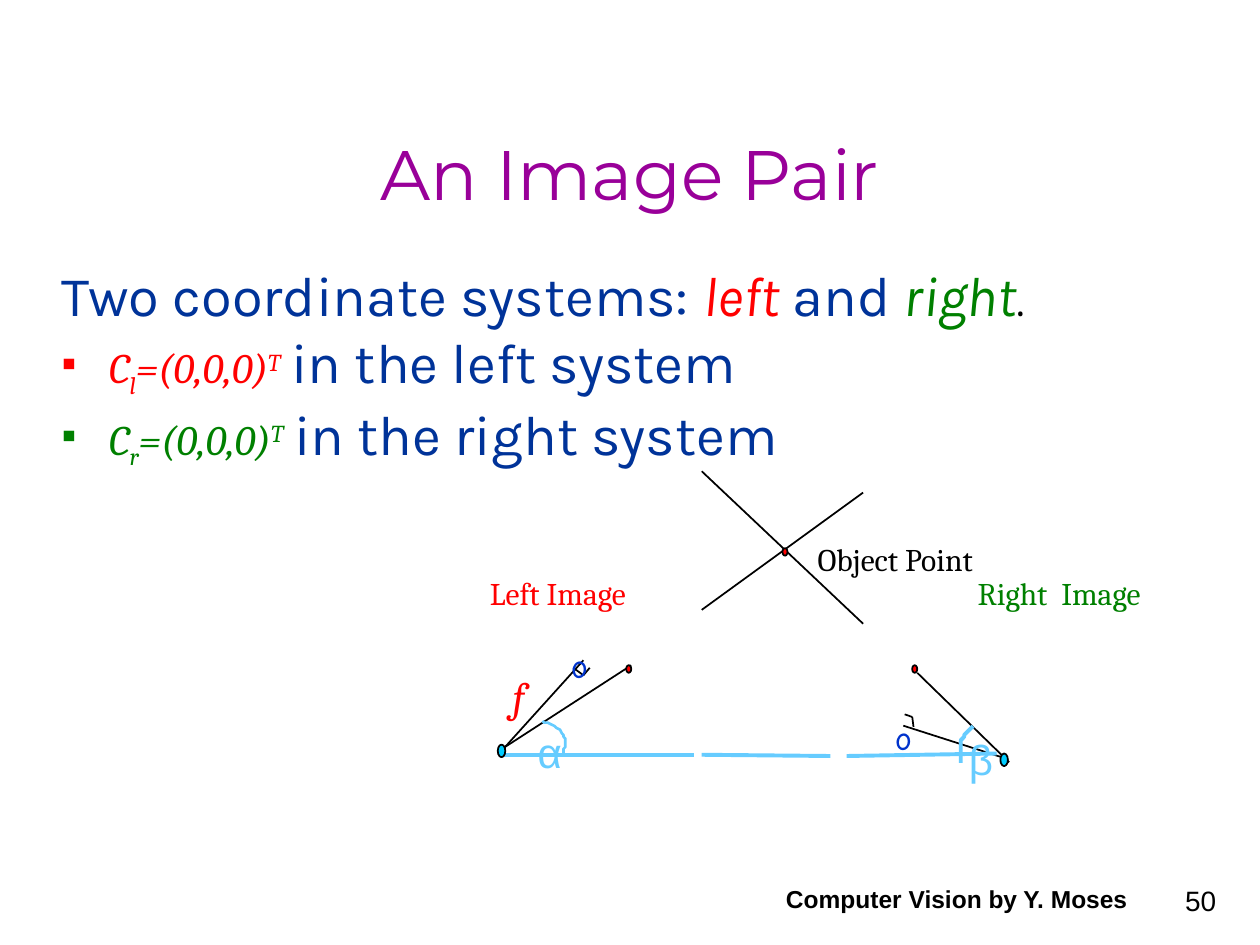
from lxml.etree import SubElement
from pptx import Presentation
from pptx.dml.color import RGBColor
from pptx.enum.shapes import MSO_CONNECTOR, MSO_SHAPE
from pptx.enum.text import MSO_ANCHOR, MSO_AUTO_SIZE, PP_ALIGN
from pptx.oxml.ns import qn
from pptx.util import Pt

BLACK = RGBColor(0, 0, 0)
RED = RGBColor(0xFF, 0, 0)
GREEN = RGBColor(0, 0x80, 0)
PURPLE = RGBColor(0x99, 0, 0x99)
NAVY = RGBColor(0, 0x33, 0x99)
BLUE = RGBColor(0, 0x33, 0xCC)
SKY = RGBColor(0x66, 0xCC, 0xFF)
CYAN = RGBColor(0, 0xCC, 0xFF)

LEFT, CENTER, RIGHT = PP_ALIGN.LEFT, PP_ALIGN.CENTER, PP_ALIGN.RIGHT

# text, box, font, size, colour, alignment, bold
BANNERS = [
    ("50", (552.2, 491.8, 149.8, 36), "Arial", 16, BLACK, RIGHT, False),
    ("Computer Vision by Y. Moses", (432.7, 489.6, 228.2, 36), "Arial", 14, BLACK, CENTER, True),
    ("An Image Pair", (54, 36, 612, 90), "Montserrat", 40, PURPLE, CENTER, False),
]

# text, box, font, size, colour, alignment, bold, italic
LABELS = [
    ("Right  Image", (551.5, 324.7, 108.7, 28.8), "Cambria", 18, GREEN, LEFT, False, False),
    ("Object Point", (460.1, 305.3, 105.1, 28.8), "Cambria", 18, BLACK, LEFT, False, False),
    ("Left Image", (272.9, 324.7, 94.3, 28.8), "Cambria", 18, RED, LEFT, False, False),
    ("α", (300.2, 411.8, 29.5, 36), "Arial", 24, SKY, LEFT, False, False),
    ("β", (546.5, 415.4, 27.4, 36), "Arial", 24, SKY, LEFT, False, False),
    ("O", (318.2, 370.1, 25.9, 23.8), "Comic Neue", 14, BLUE, CENTER, True, False),
    ("O", (503.3, 411.1, 25.9, 23.8), "Comic Neue", 14, BLUE, CENTER, True, False),
    ("f", (285.8, 379.4, 51.1, 36), "Cambria", 24, RED, LEFT, False, True),
]

BODY_BOX = (28.1, 145.4, 643.7, 328.3)
INTRO = [  # text, font, size, colour, italic
    ("Two coordinate systems: ", "Karla", 32, NAVY, False),
    ("left", "Karla", 32, RED, True),
    (" and ", "Karla", 32, NAVY, False),
    ("right", "Karla", 32, GREEN, True),
    (".", "Cambria", 24, BLACK, False),
]
SYSTEMS = [("l", "left", RED), ("r", "right", GREEN)]

RAYS = [
    ((287.3, 427.7), (360.7, 380.2)),
    ((401, 348.5), (493.2, 281.5)),
    ((401, 269.3), (493.2, 356.4)),
    ((576.7, 435.6), (524.2, 384.5)),
]
AXES = [
    ((286.6, 429.1), (333.4, 377.3)),
    ((516.2, 414.7), (572.4, 432.7)),
]
RIGHT_ANGLES = [
    ((517, 408.2), (521.3, 409.7), (522, 415.4)),
    ((327.6, 381.6), (333.4, 385.9), (337, 381.6)),
]
BASELINE = [
    ((288, 431.3), (396.7, 431.3)),
    ((401, 431.3), (474.5, 432)),
    ((483.8, 432), (569.5, 430.6)),
]
# Bezier points: start, then two controls and an end for each segment; line width
ANGLE_ARCS = [
    ([(309.6, 411.8), (314.6, 414), (319.7, 416.2), (321.8, 419.8),
      (323.3, 422.6), (322.6, 427), (321.8, 431.3)], 1.5),
    ([(555.8, 415.4), (553, 418.3), (550.8, 420.5), (549.4, 423.4),
      (548.6, 427), (549.4, 431.3), (549.4, 435.6)], 2.25),
]
# centres, size, colour
DOTS = [
    ([(359.3, 382.3), (522.7, 382.3), (448.6, 315.4)], (2.9, 4.3), RED),
    ([(286.6, 429.1), (573.8, 434.2)], (4.3, 7.2), CYAN),
]


def add_run(p, text, font, size, color, italic=False, bold=False, baseline=0):
    r = p.add_run()
    r.text = text
    r.font.name, r.font.size = font, Pt(size)
    r.font.italic, r.font.bold = italic, bold
    r.font.color.rgb = color
    if baseline:
        r.font._element.set("baseline", str(baseline * 1000))


def add_box(s, box, wrap=True):
    tf = s.shapes.add_textbox(*map(Pt, box)).text_frame
    tf.word_wrap = wrap
    return tf


def add_line(s, start, end, color=BLACK, width=1):
    line = s.shapes.add_connector(MSO_CONNECTOR.STRAIGHT, *map(Pt, start + end))
    line.line.color.rgb = color
    line.line.width = Pt(width)
    SubElement(line._element.spPr, qn("a:effectLst"))


def bezier(p0, p1, p2, p3, steps=8):
    """Points along a cubic curve, without its start."""
    for i in range(1, steps + 1):
        t = i / steps
        u = 1 - t
        yield tuple(u**3 * a + 3 * u * u * t * b + 3 * u * t * t * c + t**3 * d
                    for a, b, c, d in zip(p0, p1, p2, p3))


def add_arc(s, points, width):
    builder = s.shapes.build_freeform(*points[0], scale=Pt(1))
    for i in range(0, len(points) - 1, 3):
        builder.add_line_segments(bezier(*points[i:i + 4]), close=False)
    arc = builder.convert_to_shape()
    arc.shadow.inherit = False
    arc.fill.background()
    arc.line.color.rgb = SKY
    arc.line.width = Pt(width)


def add_dot(s, center, size, color):
    (x, y), (w, h) = center, size
    dot = s.shapes.add_shape(MSO_SHAPE.OVAL, Pt(x - w / 2), Pt(y - h / 2), Pt(w), Pt(h))
    dot.shadow.inherit = False
    dot.fill.solid()
    dot.fill.fore_color.rgb = color
    dot.line.color.rgb = BLACK
    dot.line.width = Pt(1)


def add_body(s):
    tf = add_box(s, BODY_BOX)
    for run in INTRO:
        add_run(tf.paragraphs[0], *run)
    for subscript, side, color in SYSTEMS:
        p = tf.add_paragraph()
        pPr = p._p.get_or_add_pPr()
        pPr.set("marL", str(Pt(27)))
        pPr.set("indent", str(Pt(-27)))
        SubElement(pPr, qn("a:buFont"), typeface="Arial")
        SubElement(pPr, qn("a:buChar"), char="▪")
        for text, baseline in [("C", 0), (subscript, -25), ("=(0,0,0)", 0), ("T", 30)]:
            add_run(p, text, "Cambria", 24, color, italic=True, baseline=baseline)
        add_run(p, " ", "Cambria", 28, BLACK)
        add_run(p, f"in the {side} system", "Karla", 32, NAVY)


def main():
    prs = Presentation()
    prs.slide_width, prs.slide_height = Pt(720), Pt(540)
    s = prs.slides.add_slide(prs.slide_layouts[6])

    for text, box, font, size, color, align, bold in BANNERS:
        tf = add_box(s, box)
        tf.vertical_anchor = MSO_ANCHOR.BOTTOM
        tf.paragraphs[0].alignment = align
        add_run(tf.paragraphs[0], text, font, size, color, bold=bold)
    add_body(s)

    for start, end in RAYS + AXES:
        add_line(s, start, end)
    for start, corner, end in RIGHT_ANGLES:
        add_line(s, start, corner)
        add_line(s, corner, end)
    for start, end in BASELINE:
        add_line(s, start, end, SKY, 2.25)
    for points, width in ANGLE_ARCS:
        add_arc(s, points, width)

    for text, box, font, size, color, align, bold, italic in LABELS:
        tf = add_box(s, box, wrap=False)
        tf.auto_size = MSO_AUTO_SIZE.SHAPE_TO_FIT_TEXT
        tf.paragraphs[0].alignment = align
        # A wrapped box keeps the lone italic letter at its left edge
        tf.word_wrap = italic
        add_run(tf.paragraphs[0], text, font, size, color, italic, bold)

    for centers, size, color in DOTS:
        for center in centers:
            add_dot(s, center, size, color)

    prs.save("out.pptx")


if __name__ == "__main__":
    main()
